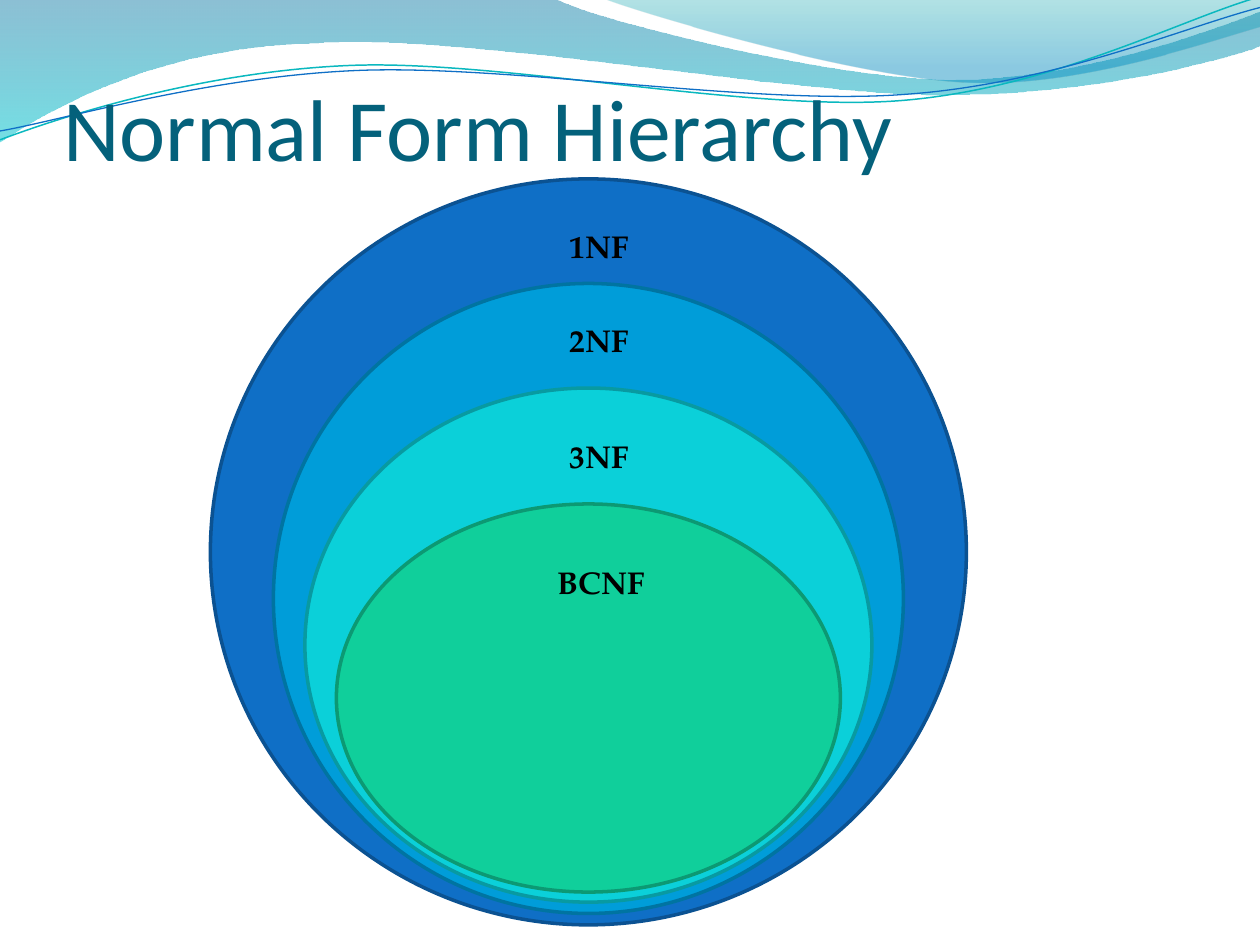
import math

import pptx
import pptx.util
import pptx.dml.color
import pptx.enum.shapes
import pptx.enum.text
import pptx.oxml.ns
from lxml import etree

Inches = pptx.util.Inches
Pt = pptx.util.Pt
RGBColor = pptx.dml.color.RGBColor
qn = pptx.oxml.ns.qn

BLACK = RGBColor(0x00, 0x00, 0x00)
TITLE_TEAL = RGBColor(0x04, 0x61, 0x7B)
BLUE, BLUE_EDGE = RGBColor(0x0F, 0x6F, 0xC6), RGBColor(0x0B, 0x52, 0x92)
SKY, SKY_EDGE = RGBColor(0x00, 0x9D, 0xD9), RGBColor(0x00, 0x74, 0xA1)
CYAN, CYAN_EDGE = RGBColor(0x0B, 0xD0, 0xD9), RGBColor(0x08, 0x9A, 0xA1)
GREEN, GREEN_EDGE = RGBColor(0x10, 0xCF, 0x9B), RGBColor(0x0C, 0x99, 0x73)
WAVE_AQUA = RGBColor(0x00, 0xC6, 0xCF)
WAVE_TEAL = RGBColor(0x00, 0xA1, 0xA9)
WAVE_BLUE = RGBColor(0x00, 0x8B, 0xBF)
LINE_TEAL = RGBColor(0x0A, 0xB8, 0xBF)

# Paths in inches: a step has one point if straight, three if a Bezier curve
WIDE_WAVE = [[(0, 0)], [(4.4, -0.01)],
             [(4.76, 0.17), (6.64, 0.63), (7.58, 0.63)],
             [(8.53, 0.63), (9.58, 0.26), (10, 0.09)], [(10.01, 0.36)],
             [(9.83, 0.44), (8.7, 0.76), (7.46, 0.75)],
             [(6.22, 0.75), (3.82, 0.28), (2.57, 0.34)],
             [(1.29, 0.36), (0.46, 0.83), (-0.01, 1.13)], [(0, 0)]]
RIGHT_WAVE = [[(4.79, -0.01)],
              [(5.09, 0.11), (6.82, 0.62), (7.69, 0.65)],
              [(8.56, 0.69), (9.61, 0.32), (10, 0.21)],
              [(10, 0)], [(4.79, -0.01)]]
TEAL_CURVE = [[(0, 1.11)], [(0.48, 0.93), (1.58, 0.57), (2.77, 0.52)],
              [(3.95, 0.47), (5.93, 0.89), (7.13, 0.8)],
              [(8.33, 0.71), (9.38, 0.15), (9.98, -0.02)]]
BLUE_CURVE = [[(0, 1.04)], [(0.47, 0.96), (1.64, 0.61), (2.83, 0.56)],
              [(4.03, 0.51), (5.97, 0.84), (7.17, 0.75)],
              [(8.36, 0.67), (9.41, 0.21), (10, 0.06)]]
CURVE_TILT = -2.7

# Ellipse box, fill, edge, label, label left and top
NORMAL_FORMS = [
    ((1.67, 1.42, 6, 5.92), BLUE, BLUE_EDGE, "1NF", 4.42, 1.75),
    ((2.17, 2.25, 5, 5), SKY, SKY_EDGE, "2NF", 4.42, 2.5),
    ((2.42, 3.08, 4.5, 4.08), CYAN, CYAN_EDGE, "3NF", 4.42, 3.42),
    ((2.67, 4, 4, 3.08), GREEN, GREEN_EDGE, "BCNF", 4.33, 4.42),
]


def write_text(tf, text, font, size, color, bold=False):
    p = tf.paragraphs[0]
    p.alignment = pptx.enum.text.PP_ALIGN.LEFT
    r = p.add_run()
    r.text = text
    r.font.name = font
    r.font.size = Pt(size)
    r.font.bold = bold
    r.font.color.rgb = color


def rotate(point, center, degrees):
    dx, dy = point[0] - center[0], point[1] - center[1]
    cos, sin = math.cos(math.radians(degrees)), math.sin(math.radians(degrees))
    return center[0] + dx * cos - dy * sin, center[1] + dx * sin + dy * cos


def add_outline(shapes, path, closed):
    """Build the outline from its end points, then bend the curved steps."""
    path = [[(Inches(x), Inches(y)) for x, y in step] for step in path]
    builder = shapes.build_freeform(*path[0][0])
    builder.add_line_segments([step[-1] for step in path[1:]], close=closed)
    sp = builder.convert_to_shape()
    sp.shadow.inherit = False
    segments = list(sp._element.iter(qn("a:lnTo")))
    for segment, step in zip(segments, path[1:]):
        if len(step) == 3:
            curve = etree.Element(qn("a:cubicBezTo"))
            for x, y in step:
                etree.SubElement(curve, qn("a:pt"),
                                 x=str(x - sp.left), y=str(y - sp.top))
            segment.getparent().replace(segment, curve)
    return sp


def add_wave(s, path, stops):
    """Fill a closed wave downwards; a stop is position, colour, opacity in %."""
    sp = add_outline(s.shapes, path, True)
    sp.line.fill.background()
    sp.fill.gradient()
    sp.fill.gradient_angle = 270
    for stop, (position, color, _) in zip(sp.fill.gradient_stops, stops):
        stop.position = position
        stop.color.rgb = color
    for gs, (_, _, opacity) in zip(sp._element.iter(qn("a:gs")), stops):
        etree.SubElement(gs[0], qn("a:alpha"), val=str(opacity * 1000))


def add_curve(group, path, center, color, width):
    """Level the path about its center, then tilt the finished shape."""
    level = [[rotate(point, center, -CURVE_TILT) for point in step]
             for step in path]
    sp = add_outline(group.shapes, level, False)
    sp.rotation = CURVE_TILT
    sp.fill.background()
    sp.line.color.rgb = color
    sp.line.width = Pt(width)


def add_header(s):
    add_wave(s, WIDE_WAVE, [(0, SKY_EDGE, 45), (1, WAVE_AQUA, 55)])
    add_wave(s, RIGHT_WAVE, [(0, WAVE_TEAL, 30), (0.8, WAVE_BLUE, 45)])
    group = s.shapes.add_group_shape()
    add_curve(group, TEAL_CURVE, (4.99, 0.57), LINE_TEAL, 0.85)
    add_curve(group, BLUE_CURVE, (5, 0.59), BLUE, 0.75)


def add_title(s, text, left, top, width, height):
    sp = s.shapes.title
    s.shapes._spTree.append(sp._element)  # in front of the waves
    sp.left, sp.top = Inches(left), Inches(top)
    sp.width, sp.height = Inches(width), Inches(height)
    tf = sp.text_frame
    tf.auto_size = pptx.enum.text.MSO_AUTO_SIZE.NONE
    tf.vertical_anchor = pptx.enum.text.MSO_ANCHOR.BOTTOM
    tf.margin_left = tf.margin_right = tf.margin_bottom = 0
    tf.margin_top = Inches(0.05)
    write_text(tf, text, "Calibri", 50, TITLE_TEAL)


def add_ellipse(s, box, fill, edge):
    sp = s.shapes.add_shape(pptx.enum.shapes.MSO_SHAPE.OVAL, *map(Inches, box))
    sp.shadow.inherit = False
    sp.fill.solid()
    sp.fill.fore_color.rgb = fill
    sp.line.color.rgb = edge
    sp.line.width = Pt(2)


def add_label(s, text, left, top):
    sp = s.shapes.add_textbox(Inches(left), Inches(top), Inches(1.58), Inches(0.42))
    tf = sp.text_frame
    tf.word_wrap = True
    tf.auto_size = pptx.enum.text.MSO_AUTO_SIZE.SHAPE_TO_FIT_TEXT
    write_text(tf, text, "TeX Gyre Pagella", 18, BLACK, bold=True)


def add_hierarchy(s):
    for box, fill, edge, *_ in NORMAL_FORMS:
        add_ellipse(s, box, fill, edge)
    for *_, text, left, top in NORMAL_FORMS:
        add_label(s, text, left, top)


def main():
    prs = pptx.Presentation()
    prs.slide_width, prs.slide_height = Inches(10), Inches(7.5)
    s = prs.slides.add_slide(prs.slide_layouts[5])  # title only
    add_header(s)
    add_title(s, "Normal Form Hierarchy", 0.5, 0.17, 9, 1.25)
    add_hierarchy(s)
    prs.save("out.pptx")


if __name__ == "__main__":
    main()
